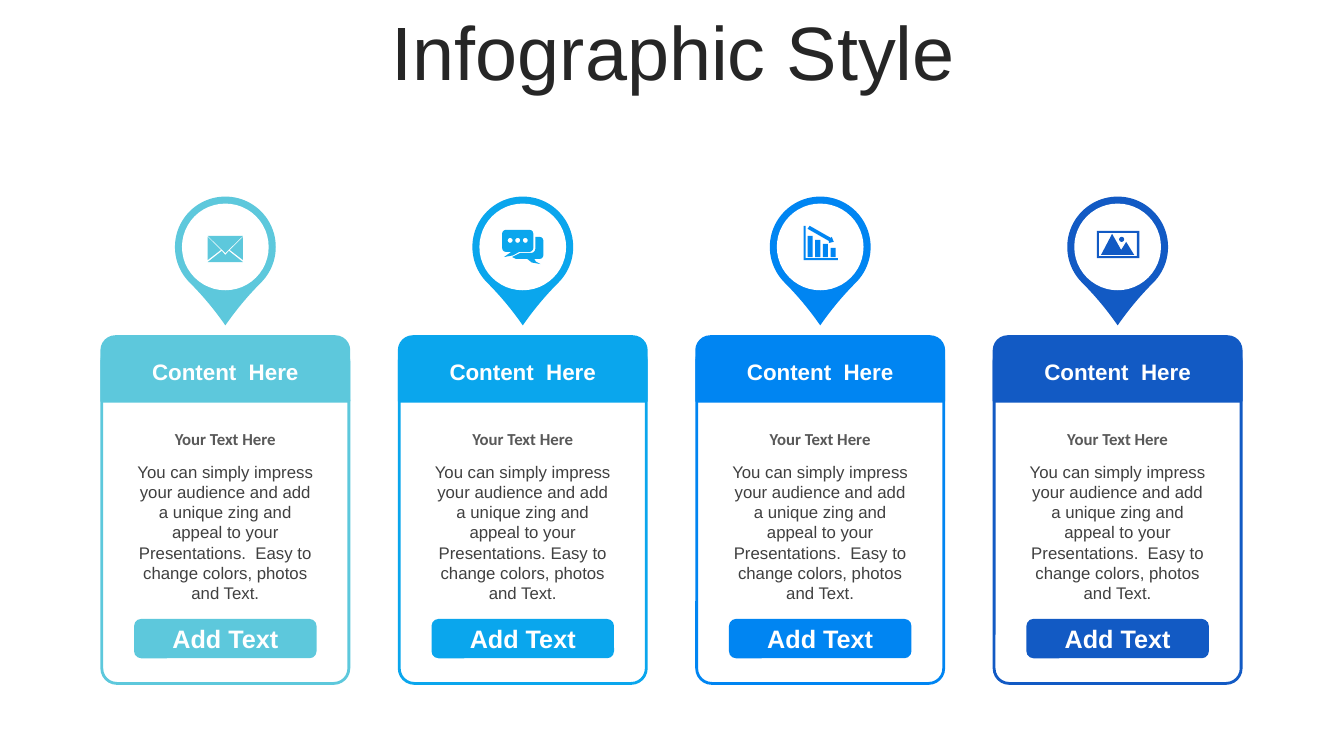
from math import cos, radians, sin

from pptx import Presentation
from pptx.dml.color import RGBColor
from pptx.enum.shapes import MSO_SHAPE
from pptx.enum.text import MSO_ANCHOR, MSO_AUTO_SIZE, PP_ALIGN
from pptx.util import Inches, Pt

WHITE = RGBColor(0xFF, 0xFF, 0xFF)
TITLE_GRAY = RGBColor(0x26, 0x26, 0x26)
HEADING_GRAY = RGBColor(0x59, 0x59, 0x59)
BODY_GRAY = RGBColor(0x40, 0x40, 0x40)
AQUA = RGBColor(0x5D, 0xC8, 0xDC)
SKY = RGBColor(0x0A, 0xA6, 0xED)
AZURE = RGBColor(0x00, 0x85, 0xF2)
ROYAL = RGBColor(0x12, 0x5A, 0xC4)

CARD_LEFT, CARD_TOP, CARD_WIDTH, CARD_PITCH = 1.01, 3.34, 2.45, 2.95
PIN_CENTER_TOP = 2.45
DESCRIPTION = (
    "You can simply impress your audience and add a unique zing and appeal "
    "to your Presentations.{gap}Easy to change colors, photos and Text."
)


def arc(center_x, center_y, radius, start=0, end=360):
    steps = abs(end - start) // 30
    angles = [radians(start + (end - start) * step / steps) for step in range(steps + 1)]
    return [(center_x + radius * cos(a), center_y + radius * sin(a)) for a in angles]


def rectangle(left, top, right, bottom):
    return [(left, top), (right, top), (right, bottom), (left, bottom)]


def mirror(points):
    return [(-x, y) for x, y in reversed(points)]


def envelope_icon():
    left_flap = [(-0.175, -0.1), (-0.045, 0.03), (-0.175, 0.13)]
    return [
        [(0.035, 0.04), (0.175, 0.15), (-0.175, 0.15), (-0.035, 0.04), (0, 0.08)],
        left_flap,
        mirror(left_flap),
        [(-0.175, -0.11), (0.175, -0.11), (0, 0.06)],
    ]


def chat_icon():
    dots = [arc(-0.125 + 0.075 * index, -0.065, 0.025) for index in range(3)]
    front = (
        arc(-0.165, -0.13, 0.04, 180, 270) + arc(0.065, -0.13, 0.04, 270, 360)
        + arc(0.065, 0.01, 0.04, 0, 90)
        + [(-0.035, 0.05), (-0.1, 0.085), (-0.185, 0.1), (-0.115, 0.05)]
        + arc(-0.165, 0.01, 0.04, 90, 180)
    )
    back = (
        [(0.125, -0.1)] + arc(0.165, -0.06, 0.04, 270, 360) + arc(0.165, 0.08, 0.04, 0, 90)
        + [(0.115, 0.12), (0.13, 0.145), (0.175, 0.17), (0.09, 0.155), (0.045, 0.12)]
        + [(-0.065, 0.12), (-0.105, 0.1), (-0.025, 0.06)] + arc(0.085, 0.02, 0.04, 90, 0)
    )
    return dots + [front, back]


def chart_icon():
    bars = []
    for index in range(4):
        left = -0.125 + 0.076 * index
        bars.append(rectangle(left, -0.11 + 0.04 * index, left + 0.05, 0.1))
    arrow = [(-0.105, -0.21), (0.105, -0.09), (0.115, -0.1), (0.135, -0.05),
             (0.085, -0.04), (0.085, -0.06), (-0.125, -0.18)]
    axes = [(-0.165, -0.21), (-0.145, -0.21), (-0.145, 0.11),
            (0.175, 0.11), (0.175, 0.13), (-0.165, 0.13)]
    return bars + [arrow, axes]


def photo_icon():
    mountains = [(-0.055, -0.13), (0.035, 0.03), (0.085, -0.05), (0.165, 0.08), (-0.165, 0.08)]
    return [
        rectangle(-0.205, -0.16, 0.215, 0.11), rectangle(-0.185, -0.14, 0.19, 0.09),
        mountains, arc(0.04, -0.075, 0.025),
    ]


def format_shape(shape, fill, line=None):
    shape.shadow.inherit = False
    shape.fill.solid()
    shape.fill.fore_color.rgb = fill
    if line is None:
        shape.line.fill.background()
    else:
        shape.line.color.rgb = line
        shape.line.width = Pt(2)


def draw_icon(slide, contours, center_x, center_y, color):
    scaled = [[(Inches(x), Inches(y)) for x, y in contour] for contour in contours]
    builder = slide.shapes.build_freeform(*scaled[0][0])
    for index, contour in enumerate(scaled):
        if index:
            builder.move_to(*contour[0])
        builder.add_line_segments(contour[1:], close=True)
    format_shape(builder.convert_to_shape(Inches(center_x), Inches(center_y)), color)


def draw_preset(slide, kind, box, fill, line=None, adjustment=None):
    shape = slide.shapes.add_shape(kind, *map(Inches, box))
    if adjustment is not None:
        shape.adjustments[0] = adjustment
    format_shape(shape, fill, line)
    return shape


def write_text(shape, text, size, color, font="Arial", bold=False, anchor=MSO_ANCHOR.TOP,
               auto_size=MSO_AUTO_SIZE.NONE, line_spacing=None):
    frame = shape.text_frame
    frame.word_wrap = True
    frame.auto_size = auto_size
    frame.vertical_anchor = anchor
    paragraph = frame.paragraphs[0]
    paragraph.alignment = PP_ALIGN.CENTER
    paragraph.line_spacing = line_spacing
    run = paragraph.add_run()
    run.text = text
    run.font.name = font
    run.font.size = Pt(size)
    run.font.bold = bold
    run.font.color.rgb = color


def add_title(slide, left, top, width, height):
    title = slide.shapes.title
    title.left, title.top, title.width, title.height = map(Inches, (left, top, width, height))
    write_text(title, "Infographic Style", size=54, color=TITLE_GRAY,
               anchor=MSO_ANCHOR.MIDDLE, line_spacing=0.9)


def add_pin(slide, center_x, center_y, icon, color):
    drop = draw_preset(slide, MSO_SHAPE.TEAR, (center_x - 0.5, center_y - 0.5, 1, 1),
                       color, adjustment=1.1)
    drop.rotation = 135
    draw_preset(slide, MSO_SHAPE.OVAL, (center_x - 0.43, center_y - 0.43, 0.86, 0.86), WHITE)
    draw_icon(slide, icon, center_x, center_y, color)


def add_card(slide, left, top, width, color, description):
    draw_preset(slide, MSO_SHAPE.ROUNDED_RECTANGLE, (left, top + 0.09, width, 3.35),
                WHITE, color, 0.061)
    draw_preset(slide, MSO_SHAPE.ROUND_2_SAME_RECTANGLE, (left, top, width, 0.64),
                color, color, 0.21)
    button = draw_preset(slide, MSO_SHAPE.ROUNDED_RECTANGLE, (left + 0.32, top + 2.8, 1.81, 0.39),
                         color, adjustment=0.178)
    write_text(button, "Add Text", size=18, color=WHITE, bold=True, anchor=MSO_ANCHOR.MIDDLE)
    labels = [
        (0.16, 0.37, "Content  Here", dict(size=16, color=WHITE, bold=True)),
        (0.86, 0.3, "Your Text Here", dict(size=12, color=HEADING_GRAY, font="Calibri", bold=True)),
        (1.19, 1.31, description, dict(size=12, color=BODY_GRAY)),
    ]
    for offset, height, text, text_format in labels:
        box = slide.shapes.add_textbox(*map(Inches, (left + 0.21, top + offset, 2.03, height)))
        write_text(box, text, auto_size=MSO_AUTO_SIZE.SHAPE_TO_FIT_TEXT, **text_format)


def main():
    presentation = Presentation()
    presentation.slide_width, presentation.slide_height = Inches(13.33), Inches(7.5)
    slide = presentation.slides.add_slide(presentation.slide_layouts[5])
    add_title(slide, 0.35, 0.16, 12.66, 0.79)
    columns = [
        (AQUA, envelope_icon(), "  "),
        (SKY, chat_icon(), " "),
        (AZURE, chart_icon(), "  "),
        (ROYAL, photo_icon(), "  "),
    ]
    for index, (color, icon, gap) in enumerate(columns):
        left = CARD_LEFT + index * CARD_PITCH
        add_pin(slide, left + CARD_WIDTH / 2, PIN_CENTER_TOP, icon, color)
        add_card(slide, left, CARD_TOP, CARD_WIDTH, color, DESCRIPTION.format(gap=gap))
    presentation.save("out.pptx")


if __name__ == "__main__":
    main()
